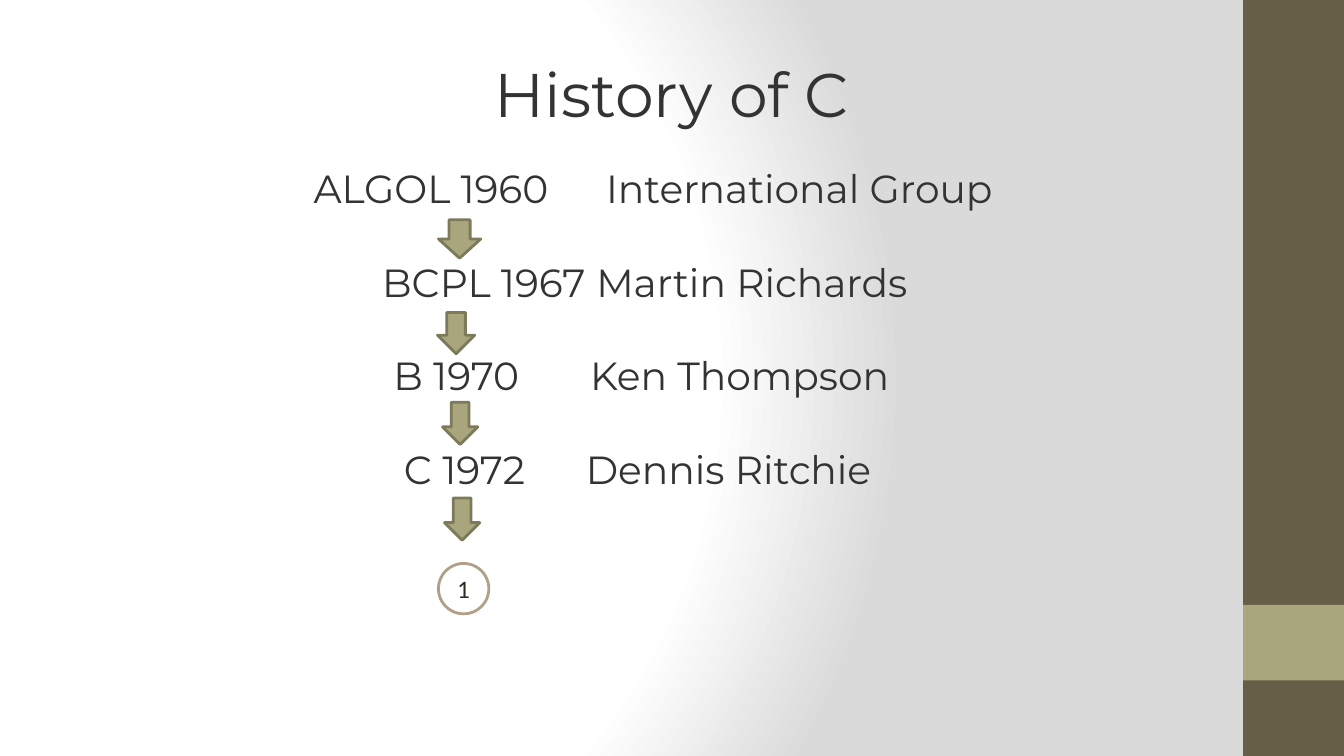
from dataclasses import dataclass

import lxml.etree
import pptx
import pptx.dml.color
import pptx.enum.shapes
import pptx.enum.text
import pptx.oxml
import pptx.oxml.ns
import pptx.util

Pt = pptx.util.Pt
SHAPES = pptx.enum.shapes.MSO_SHAPE
ALIGN = pptx.enum.text.PP_ALIGN
ANCHOR = pptx.enum.text.MSO_ANCHOR
NO_FIT = pptx.enum.text.MSO_AUTO_SIZE.NONE


@dataclass(frozen=True)
class Theme:
    text: str = "333333"
    dark: str = "2F2B20"
    brown: str = "675E47"
    olive: str = "A9A57C"
    olive_edge: str = "7D7A5C"
    tan: str = "B1A089"
    white: str = "FFFFFF"
    grey: str = "DADADA"
    heading_font: str = "Montserrat"
    label_font: str = "Calibri"
    title_size: int = 44
    body_size: int = 28
    label_size: int = 18


theme = Theme()


def add_filled(kind, box, fill, edge=None):
    """Add a flat preset shape; box is left, top, width, height in points."""
    shape = slide.shapes.add_shape(kind, *map(Pt, box))
    shape.shadow.inherit = False
    shape.fill.solid()
    shape.fill.fore_color.rgb = pptx.dml.color.RGBColor.from_string(fill)
    if edge:
        shape.line.color.rgb = pptx.dml.color.RGBColor.from_string(edge)
        shape.line.width = Pt(2)
    else:
        shape.line.fill.background()
    return shape


def add_run(paragraph, text, font, size, color):
    run = paragraph.add_run()
    run.text = text
    run.font.name = font
    run.font.size = Pt(size)
    run.font.color.rgb = pptx.dml.color.RGBColor.from_string(color)


deck = pptx.Presentation()
deck.slide_width, deck.slide_height = Pt(960), Pt(540)
slide = deck.slides.add_slide(deck.slide_layouts[3])

# Background: circular gradient, white turning grey to the right
slide.background.fill.solid()
background = slide.background.fill._xPr
stops = "".join(
    f'<a:gs pos="{percent * 1000}"><a:srgbClr val="{color}"/></a:gs>'
    for percent, color in ((0, theme.white), (75, theme.white), (100, theme.grey))
)
gradient = pptx.oxml.parse_xml(
    f'<a:gradFill {pptx.oxml.ns.nsdecls("a")} rotWithShape="1"><a:gsLst>{stops}</a:gsLst>'
    '<a:path path="circle"><a:fillToRect l="20000" t="50000" r="100000" b="50000"/></a:path>'
    "</a:gradFill>"
)
background.replace(background[0], gradient)

# Side band
add_filled(SHAPES.RECTANGLE, (888, 0, 72, 540), theme.brown)
add_filled(SHAPES.RECTANGLE, (888, 432, 72, 54), theme.olive)

# Title
title = slide.shapes.title
title.left, title.top, title.width, title.height = map(Pt, (155.3, 36, 649.4, 60.5))
title.text_frame.auto_size = NO_FIT
title.text_frame.vertical_anchor = ANCHOR.MIDDLE
heading = title.text_frame.paragraphs[0]
heading.alignment = ALIGN.CENTER
add_run(heading, "History of C", theme.heading_font, theme.title_size, theme.text)

# Lineage: a column of languages and one of authors, each entry with its x on the slide
languages = [("ALGOL 1960", 224), ("BCPL 1967", 273), ("B 1970", 281), ("C 1972", 288.5)]
authors = [
    ("International Group", 433),
    ("Martin Richards", 426),
    ("Ken Thompson", 421.5),
    ("Dennis Ritchie", 418.5),
]
for index, left, width, entries in ((1, 100, 325, languages), (2, 418, 460, authors)):
    column = slide.placeholders[index]
    column.left, column.top, column.width, column.height = map(Pt, (left, 113.8, width, 346.3))
    column_frame = column.text_frame
    column_frame.auto_size = NO_FIT
    column_frame.vertical_anchor = ANCHOR.TOP
    column_frame.margin_left = column_frame.margin_right = 0
    for row, (label, x) in enumerate(entries):
        entry = column_frame.add_paragraph() if row else column_frame.paragraphs[0]
        properties = entry._p.get_or_add_pPr()
        properties.set("marL", str(Pt(x - left)))
        properties.set("indent", "0")
        lxml.etree.SubElement(properties, pptx.oxml.ns.qn("a:buNone"))
        entry.alignment = ALIGN.LEFT
        entry.space_before = Pt(33.3 if row else 0)
        add_run(entry, label, theme.heading_font, theme.body_size, theme.text)

# Arrows between the generations
for arrow_box in (
    (313.2, 157, 30.2, 27.4),
    (312.5, 223.2, 26.6, 29.5),
    (316.1, 287.3, 25.2, 30.2),
    (317.5, 355.7, 25.2, 30.2),
):
    add_filled(SHAPES.DOWN_ARROW, arrow_box, theme.olive, theme.olive_edge)

# Continuation marker
marker = add_filled(
    SHAPES.FLOWCHART_CONNECTOR, (313.2, 402.5, 36, 36), theme.white, theme.tan
)
marker.text_frame.vertical_anchor = ANCHOR.MIDDLE
number = marker.text_frame.paragraphs[0]
number.alignment = ALIGN.CENTER
add_run(number, "1", theme.label_font, theme.label_size, theme.dark)

deck.save("out.pptx")
